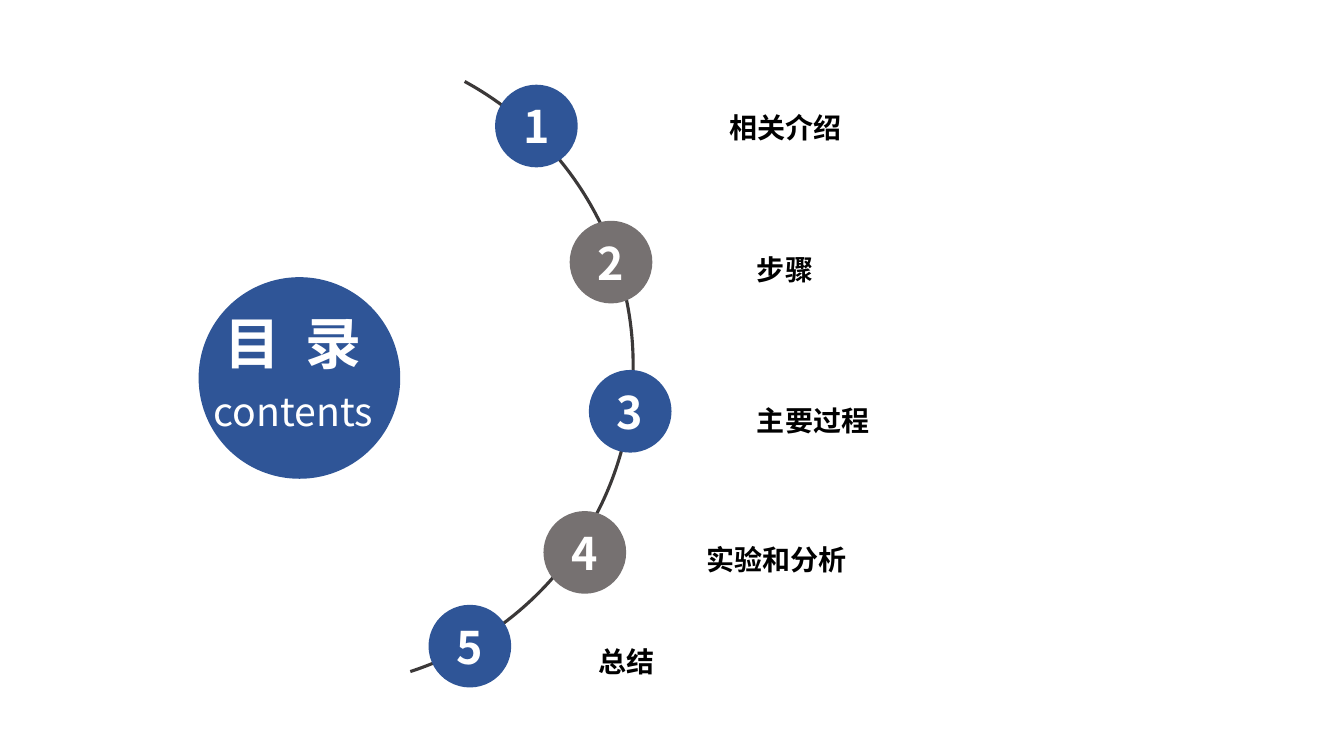
from dataclasses import dataclass

from lxml import etree
from pptx import Presentation
from pptx.dml.color import RGBColor
from pptx.enum.shapes import MSO_SHAPE as Shape
from pptx.enum.text import MSO_ANCHOR as Anchor, MSO_AUTO_SIZE as AutoSize, PP_ALIGN as Align
from pptx.oxml.ns import qn
from pptx.shapes.autoshape import Shape as AutoShape
from pptx.slide import Slide
from pptx.util import Inches, Pt

FONT = "Noto Sans CJK SC"
BLUE = RGBColor(0x2F, 0x55, 0x97)
GRAY = RGBColor(0x76, 0x71, 0x71)
DARK = RGBColor(0x3B, 0x38, 0x38)
WHITE = RGBColor(0xFF, 0xFF, 0xFF)
BLACK = RGBColor(0, 0, 0)

NODE_SIZE = 0.82
HUB_SIZE = 2
LABEL_HEIGHT = 0.44
ARC_START, ARC_END = 298.54, 71.97  # degrees, clockwise from the right
DEGREE = 0.6  # one degree in adjustment units


@dataclass(frozen=True)
class Chapter:
    label: str
    node_left: float
    node_top: float
    label_left: float
    label_top: float
    label_width: float


CHAPTERS = [
    Chapter("相关介绍", 4.91, 0.84, 7.14, 1.05, 1.57),
    Chapter("步骤", 5.65, 2.19, 7.41, 2.46, 1.64),
    Chapter("主要过程", 5.84, 3.67, 7.41, 3.95, 2.56),
    Chapter("实验和分析", 5.39, 5.07, 6.91, 5.33, 2.14),
    Chapter("总结", 4.25, 6, 5.84, 6.34, 2.14),
]


def write(sp: AutoShape, text: str, *, size: float, color: RGBColor, bold: bool = True,
          align: Align = Align.CENTER, anchor: Anchor = Anchor.TOP,
          auto_size: AutoSize = AutoSize.SHAPE_TO_FIT_TEXT, spacing: float = 0) -> None:
    """Fill a shape with one formatted run; spacing is the letter gap in points."""
    tf = sp.text_frame
    tf.word_wrap = True
    tf.auto_size = auto_size
    tf.vertical_anchor = anchor
    p = tf.paragraphs[0]
    p.alignment = align
    r = p.add_run()
    r.text = text
    r.font.size = Pt(size)
    r.font.bold = bold
    r.font.color.rgb = color
    r.font.name = FONT
    rpr = r._r.get_or_add_rPr()
    etree.SubElement(rpr, qn("a:ea")).set("typeface", FONT)
    if spacing:
        rpr.set("spc", str(round(spacing * 100)))


def add_circle(s: Slide, left: float, top: float, size: float, color: RGBColor) -> AutoShape:
    sp = s.shapes.add_shape(Shape.OVAL, Inches(left), Inches(top), Inches(size), Inches(size))
    sp.shadow.inherit = False
    sp.fill.solid()
    sp.fill.fore_color.rgb = color
    sp.line.fill.background()
    return sp


def add_arc(s: Slide) -> None:
    arc = s.shapes.add_shape(Shape.ARC, Inches(-0.12), Inches(0.42), Inches(6.4), Inches(6.4))
    arc.adjustments[0] = ARC_START * DEGREE
    arc.adjustments[1] = ARC_END * DEGREE
    arc.shadow.inherit = False
    arc.fill.background()
    arc.line.color.rgb = DARK
    arc.line.width = Pt(2.25)


def add_chapter(s: Slide, number: int, chapter: Chapter) -> None:
    color = BLUE if number % 2 else GRAY
    node = add_circle(s, chapter.node_left, chapter.node_top, NODE_SIZE, color)
    write(node, str(number), size=32, color=WHITE, anchor=Anchor.MIDDLE, auto_size=AutoSize.NONE)
    label = s.shapes.add_textbox(Inches(chapter.label_left), Inches(chapter.label_top),
                                 Inches(chapter.label_width), Inches(LABEL_HEIGHT))
    write(label, chapter.label, size=20, color=BLACK, align=Align.LEFT)


def add_hub(s: Slide) -> None:
    """Draw the large circle with the slide title and its subtitle on top."""
    add_circle(s, 1.97, 2.75, HUB_SIZE, BLUE)
    title = s.shapes.title
    title.left, title.top = Inches(1.84), Inches(3.01)
    title.width, title.height = Inches(2.14), Inches(0.77)
    write(title, "目 录", size=40, color=WHITE, spacing=4.5)
    s.shapes.element.append(title.element)  # bring in front of the circle
    subtitle = s.shapes.add_textbox(Inches(1.57), Inches(3.79), Inches(2.68), Inches(0.57))
    write(subtitle, "contents", size=28, color=WHITE, bold=False)


def main() -> None:
    prs = Presentation()
    prs.slide_width, prs.slide_height = Inches(13.33), Inches(7.5)
    s = prs.slides.add_slide(prs.slide_layouts[5])
    add_arc(s)
    for number, chapter in enumerate(CHAPTERS, start=1):
        add_chapter(s, number, chapter)
    add_hub(s)
    prs.save("out.pptx")


if __name__ == "__main__":
    main()
